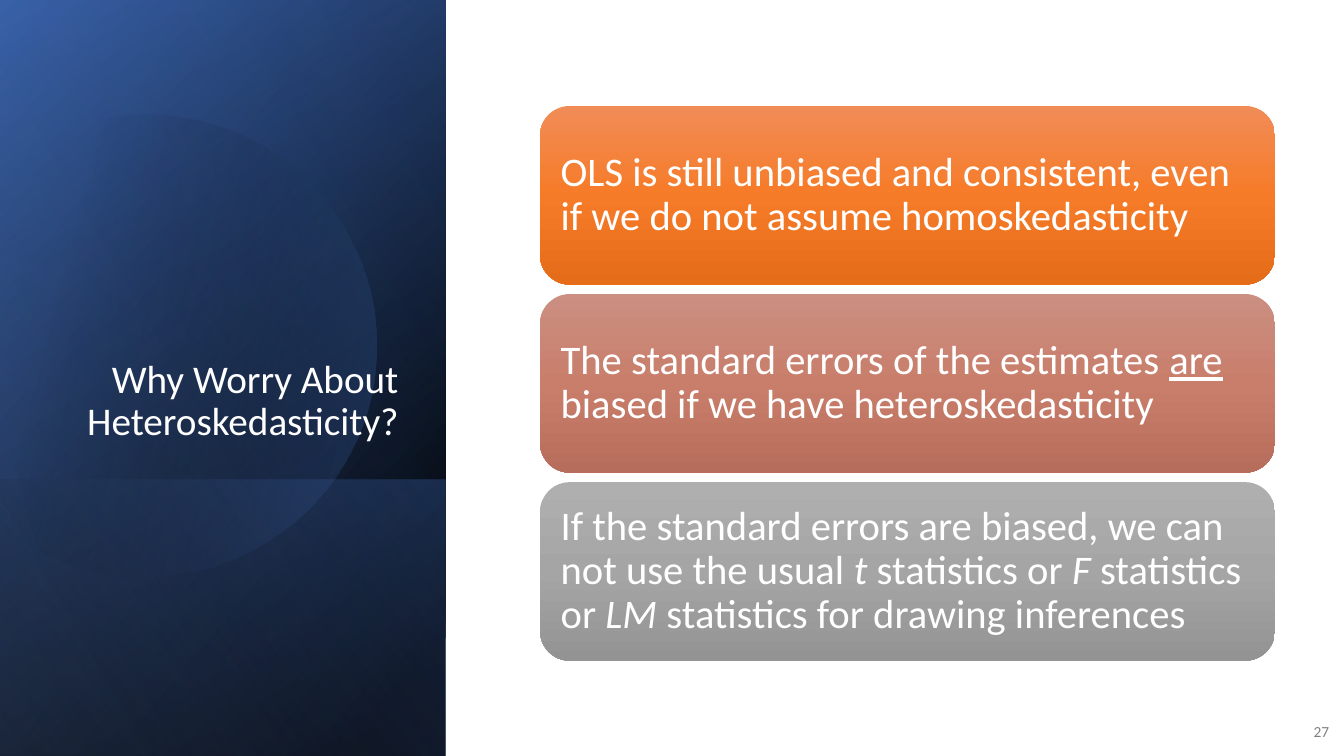
from lxml import etree
from pptx import Presentation
from pptx.dml.color import RGBColor
from pptx.enum.shapes import MSO_SHAPE
from pptx.enum.text import MSO_ANCHOR, PP_ALIGN
from pptx.oxml.ns import qn
from pptx.util import Cm, Pt

RECT, ROUNDED = MSO_SHAPE.RECTANGLE, MSO_SHAPE.ROUNDED_RECTANGLE
MIDDLE, BOTTOM = MSO_ANCHOR.MIDDLE, MSO_ANCHOR.BOTTOM
LEFT, RIGHT = PP_ALIGN.LEFT, PP_ALIGN.RIGHT

COLOURS = {
    "white": "FFFFFF", "black": "000000", "page": "808080",
    "navy": "2F5597", "blue": "4472C4", "sky": "8FAADC",
    "orange light": "F18C57", "orange": "F67B28", "orange dark": "E56C19",
    "clay light": "CB8F81", "clay": "C97E6B", "clay dark": "B76D5B",
    "grey light": "AFAFAF", "grey": "A5A5A5", "grey dark": "939393",
}


def paint(shape, stops, angle):
    """Gradient fill from (position %, colour, opacity %) stops, no outline or shadow."""
    shape.shadow.inherit = False
    shape.line.fill.background()
    shape.fill.background()
    no_fill = shape._element.spPr.find(qn("a:noFill"))
    grad = etree.Element(qn("a:gradFill"), rotWithShape="1")
    stop_list = etree.SubElement(grad, qn("a:gsLst"))
    for position, colour, opacity in stops:
        stop = etree.SubElement(stop_list, qn("a:gs"), pos=str(position * 1000))
        value = etree.SubElement(stop, qn("a:srgbClr"), val=COLOURS[colour])
        if opacity < 100:
            etree.SubElement(value, qn("a:alpha"), val=str(opacity * 1000))
    etree.SubElement(grad, qn("a:lin"), ang=str(angle * 60000), scaled="0")
    no_fill.getparent().replace(no_fill, grad)


def write(shape, runs, size, colour, align, anchor, spacing=0.9):
    """One paragraph of (text, style) runs; style is "", "i" or "u"."""
    frame = shape.text_frame
    frame.word_wrap = True
    frame.vertical_anchor = anchor
    paragraph = frame.paragraphs[0]
    paragraph.alignment = align
    paragraph.line_spacing = spacing
    for text, style in runs:
        run = paragraph.add_run()
        run.text = text
        run.font.name = "Calibri"
        run.font.size = Pt(size)
        run.font.color.rgb = RGBColor.from_string(COLOURS[colour])
        if style == "i":
            run.font.italic = True
        if style == "u":
            run.font.underline = True


prs = Presentation()
prs.slide_width, prs.slide_height = Cm(33.87), Cm(19.05)
slide = prs.slides.add_slide(prs.slide_layouts[6])
shapes = slide.shapes

# Side panel: layered gradients, each turned a quarter and mirrored
PANEL_WIDTH = 11.23
FULL = (-3.91, 3.91, 19.05)  # left, top, length before turning
FOOT = (2.13, 9.96, 6.96)
panel_layers = [
    (FULL, [(8, "black", 100), (100, "navy", 100)], 50),
    (FULL, [(0, "black", 0), (99, "blue", 46)], 30),
    (FOOT, [(2, "blue", 29), (100, "black", 30)], 130),
    "disc",
    (FULL, [(0, "black", 0), (99, "sky", 11)], 120),
]

# Disc outline in cm: a two-number entry is a corner, six numbers a Bézier curve
disc_start = (3.78, 2.65)
disc_outline = [
    (6.25, 2.70, 8.53, 4.36, 9.22, 6.85),
    (10.11, 9.94, 8.33, 13.14, 5.26, 14.03),
    (3.33, 14.59, 1.35, 14.11, -0.08, 12.92),
    (-0.38, 12.64),
    (-0.38, 4.31),
    (0, 3.95),
    (0.58, 3.47, 1.27, 3.11, 2.03, 2.88),
    (2.62, 2.73, 3.20, 2.65, 3.78, 2.65),
]
CURVE_STEPS = 24
disc_points = [disc_start]
for segment in disc_outline:
    if len(segment) == 2:
        disc_points.append(segment)
        continue
    x0, y0 = disc_points[-1]
    x1, y1, x2, y2, x3, y3 = segment
    for step in range(1, CURVE_STEPS + 1):
        t = step / CURVE_STEPS
        a, b, c, d = (1 - t) ** 3, 3 * t * (1 - t) ** 2, 3 * t * t * (1 - t), t ** 3
        disc_points.append((a * x0 + b * x1 + c * x2 + d * x3,
                            a * y0 + b * y1 + c * y2 + d * y3))

for layer in panel_layers:
    if layer == "disc":
        builder = shapes.build_freeform(Cm(disc_start[0]), Cm(disc_start[1]))
        builder.add_line_segments([(Cm(x), Cm(y)) for x, y in disc_points[1:]])
        disc = builder.convert_to_shape()
        disc.rotation = 343.9
        paint(disc, [(29, "black", 0), (100, "blue", 43)], 30)
        continue
    (left, top, length), stops, angle = layer
    panel = shapes.add_shape(RECT, Cm(left), Cm(top), Cm(length), Cm(PANEL_WIDTH))
    panel.rotation = 90
    panel._element.spPr.find(qn("a:xfrm")).set("flipH", "1")
    paint(panel, stops, angle)

# Title and page number
title = shapes.add_textbox(Cm(1.63), Cm(4.67), Cm(8.66), Cm(6.65))
write(title, [("Why Worry About Heteroskedasticity?", "")], 28, "white", RIGHT, BOTTOM)
page_number = shapes.add_textbox(Cm(32.51), Cm(17.93), Cm(1.24), Cm(1.02))
write(page_number, [("27", "")], 11, "page", RIGHT, MIDDLE, 1.0)

# Statement cards
CARD_LEFT, CARD_TOP, CARD_WIDTH, CARD_HEIGHT, CARD_PITCH = 13.61, 2.67, 18.52, 4.5, 4.74
CARD_INSET = Cm(0.3)
cards = [
    ("orange", [("OLS is still unbiased and consistent, even if we do not assume "
                 "homoskedasticity", "")]),
    ("clay", [("The standard errors of the estimates ", ""), ("are", "u"),
              (" biased if we have heteroskedasticity", "")]),
    ("grey", [("If the standard errors are biased, we can not use the usual ", ""),
              ("t", "i"), (" statistics or ", ""), ("F", "i"),
              (" statistics or ", ""), ("LM", "i"),
              (" statistics for drawing inferences", "")]),
]
for index, (hue, statement) in enumerate(cards):
    card = shapes.add_shape(ROUNDED, Cm(CARD_LEFT), Cm(CARD_TOP + index * CARD_PITCH),
                            Cm(CARD_WIDTH), Cm(CARD_HEIGHT))
    paint(card, [(0, hue + " light", 100), (50, hue, 100), (100, hue + " dark", 100)], 90)
    frame = card.text_frame
    frame.margin_left = frame.margin_right = CARD_INSET
    frame.margin_top = frame.margin_bottom = CARD_INSET
    write(card, statement, 29, "white", LEFT, MIDDLE)

prs.save("out.pptx")
